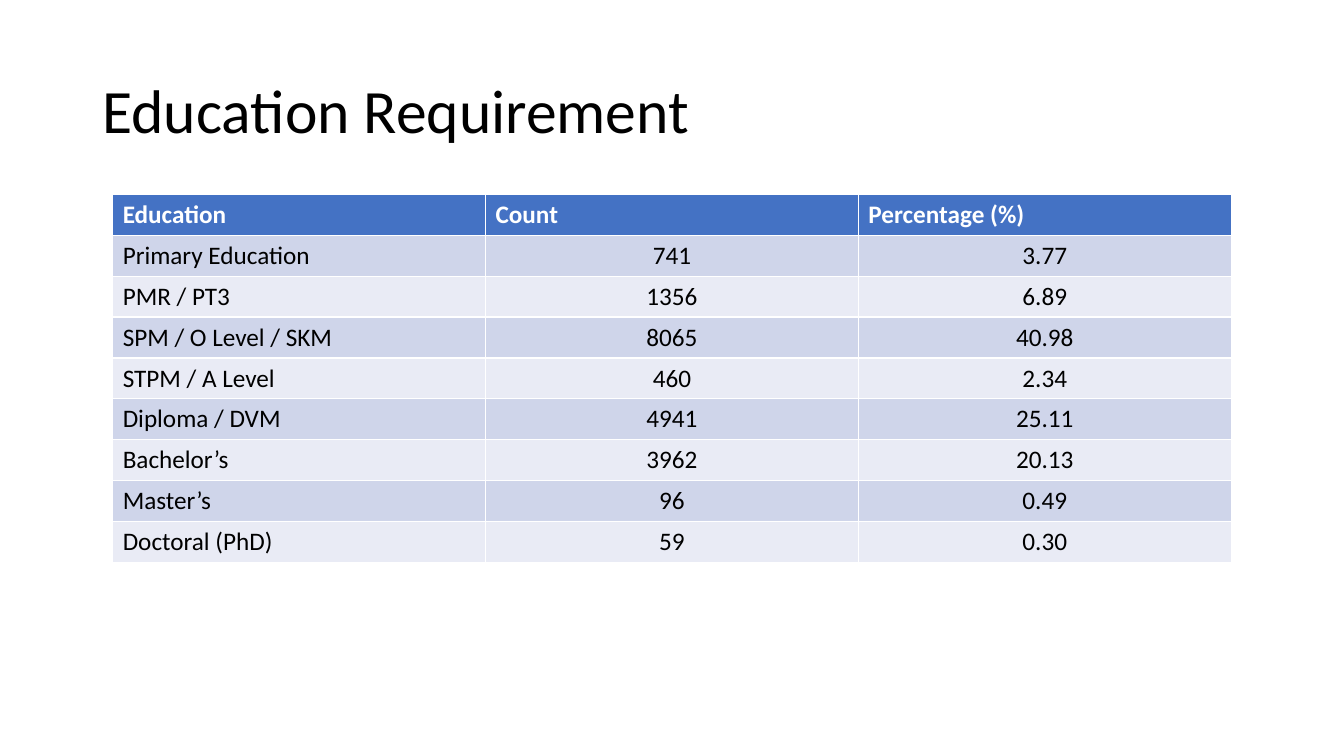
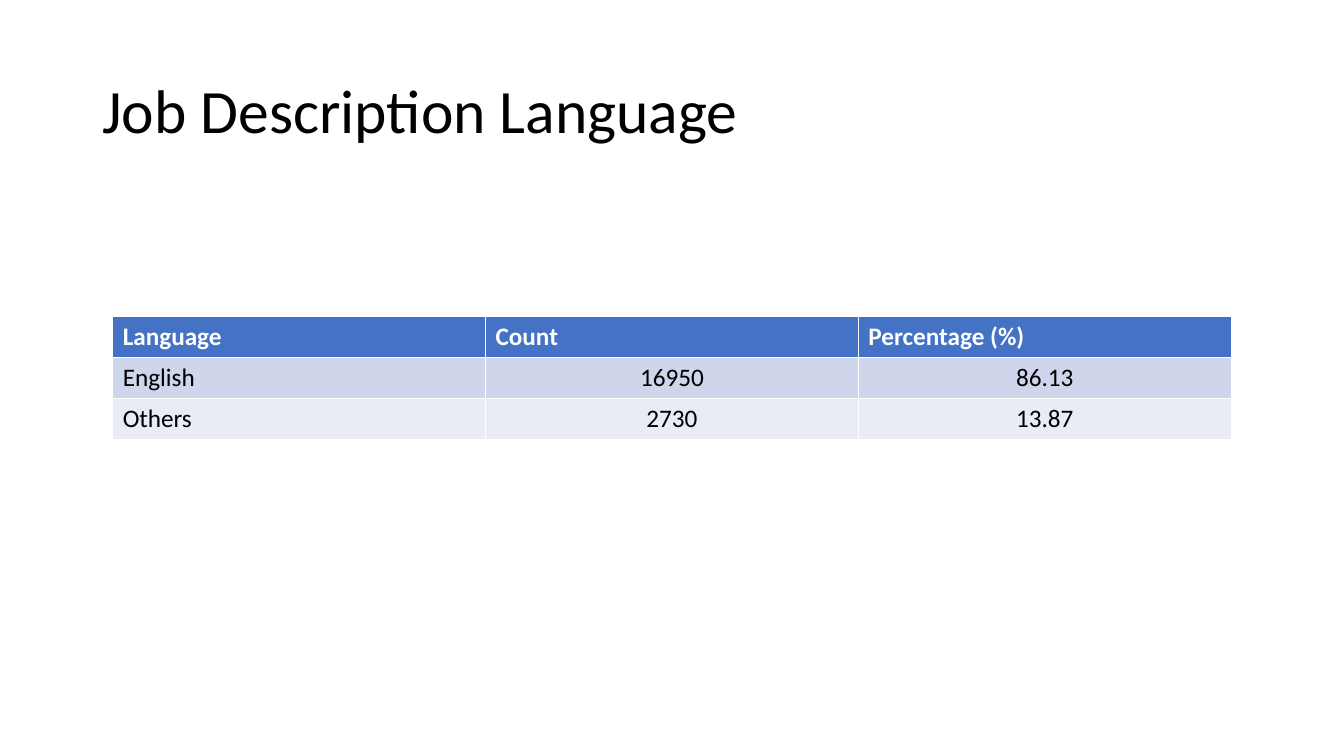
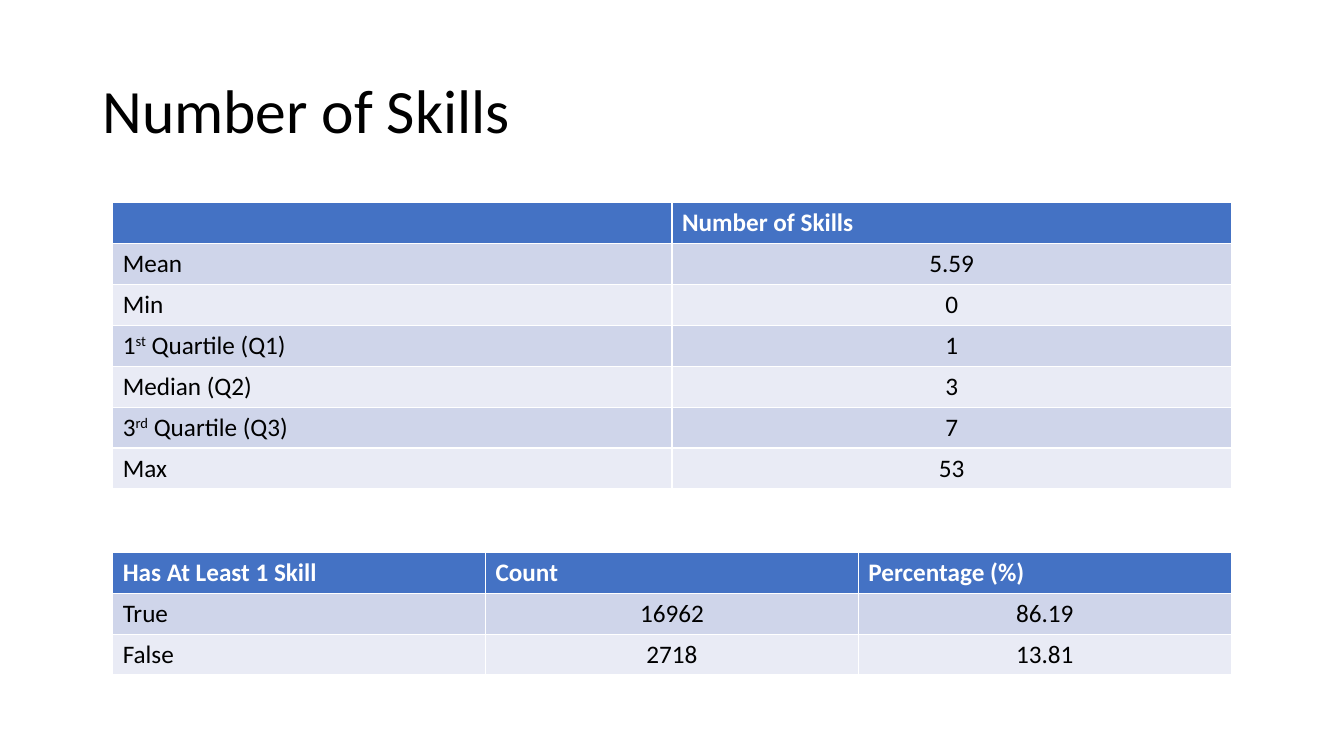
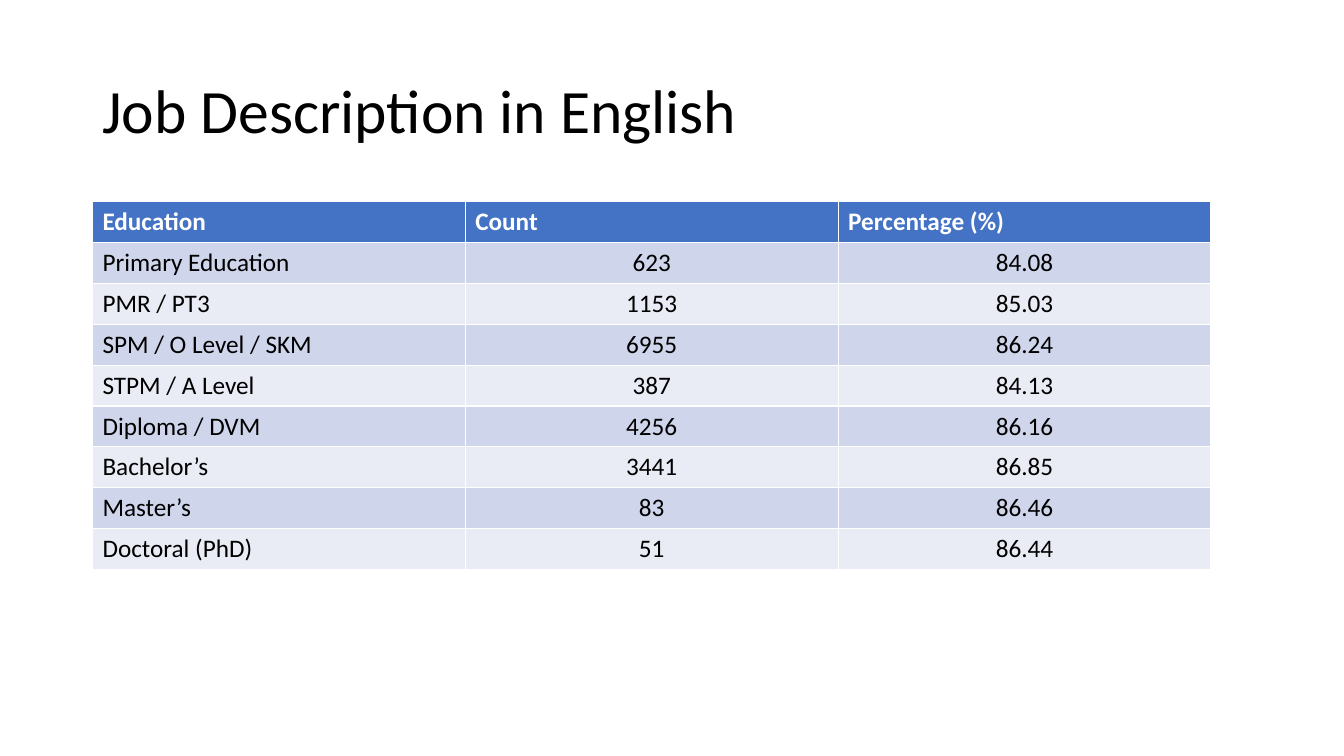
"""Build four slides of job advert statistics as titled tables."""
from dataclasses import dataclass

from pptx import Presentation
from pptx.dml.color import RGBColor as RGB
from pptx.enum.text import MSO_ANCHOR as Anchor, PP_ALIGN as Align
from pptx.util import Cm, Pt

LEVELS = ["Primary Education", "PMR / PT3", "SPM / O Level / SKM", "STPM / A Level",
          "Diploma / DVM", "Bachelor’s", "Master’s", "Doctoral (PhD)"]
NEEDED = [("741", "3.77"), ("1356", "6.89"), ("8065", "40.98"), ("460", "2.34"),
          ("4941", "25.11"), ("3962", "20.13"), ("96", "0.49"), ("59", "0.30")]
ENGLISH = [("623", "84.08"), ("1153", "85.03"), ("6955", "86.24"), ("387", "84.13"),
           ("4256", "86.16"), ("3441", "86.85"), ("83", "86.46"), ("51", "86.44")]
TALLY = ("Count", "Percentage (%)")


def by_level(pairs):
    return [("Education", *TALLY)] + [(name, *pair) for name, pair in zip(LEVELS, pairs)]


LANGS = [("Language", *TALLY), ("English", "16950", "86.13"), ("Others", "2730", "13.87")]
STATS = [("", "Number of Skills"), ("Mean", "5.59"), ("Min", "0"),
         ("1^st^ Quartile (Q1)", "1"), ("Median (Q2)", "3"),
         ("3^rd^ Quartile (Q3)", "7"), ("Max", "53")]
SKILLED = [("Has At Least 1 Skill", *TALLY), ("True", "16962", "86.19"),
           ("False", "2718", "13.81")]

SLIDES = [
    ("Education Requirement", [(2.84, 4.9, by_level(NEEDED))]),
    ("Job Description Language", [(2.84, 7.98, LANGS)]),
    ("Number of Skills", [(2.84, 5.11, STATS), (2.84, 13.92, SKILLED)]),
    ("Job Description in English", [(2.33, 5.08, by_level(ENGLISH))]),
]


@dataclass(frozen=True)
class Theme:
    font: str = "Calibri"
    title: int = 44
    body: int = 18
    ink: str = "000000"
    paper: str = "FFFFFF"
    head: str = "4472C4"
    bands: tuple = ("CFD5EA", "E9EBF5")
    width: float = 28.19
    row: float = 1.03


THEME = Theme()


def style(para, size, color, bold=False):
    font = para.font
    font.name, font.size, font.bold = THEME.font, Pt(size), bold
    font.color.rgb = RGB.from_string(color)


def add_title(slide, text):
    frame = slide.shapes.add_textbox(Cm(2.33), Cm(1.02), Cm(29.21), Cm(3.68)).text_frame
    frame.word_wrap = True
    frame.vertical_anchor = Anchor.MIDDLE
    para = frame.paragraphs[0]
    para.text = text
    para.line_spacing = 0.9
    style(para, THEME.title, THEME.ink)


def fill_cell(cell, text, row, col):
    head = row == 0
    cell.fill.solid()
    cell.fill.fore_color.rgb = RGB.from_string(
        THEME.head if head else THEME.bands[(row - 1) % 2])
    para = cell.text_frame.paragraphs[0]
    style(para, THEME.body, THEME.paper if head else THEME.ink, head)
    if col and not head:
        para.alignment = Align.CENTER
    for part, piece in enumerate(text.split("^") if text else []):
        run = para.add_run()
        run.text = piece
        if part % 2:
            run.font._element.set("baseline", "30000")


def add_grid(slide, left, top, rows):
    cols = len(rows[0])
    table = slide.shapes.add_table(len(rows), cols, Cm(left), Cm(top), Cm(THEME.width),
                                   Cm(THEME.row * len(rows))).table
    for row, texts in enumerate(rows):
        table.rows[row].height = Cm(THEME.row)
        for col, text in enumerate(texts):
            fill_cell(table.cell(row, col), text, row, col)


def main():
    deck = Presentation()
    deck.slide_width, deck.slide_height = Cm(33.87), Cm(19.05)
    for title, grids in SLIDES:
        slide = deck.slides.add_slide(deck.slide_layouts[6])
        add_title(slide, title)
        for left, top, rows in grids:
            add_grid(slide, left, top, rows)
    deck.save("out.pptx")


if __name__ == "__main__":
    main()
